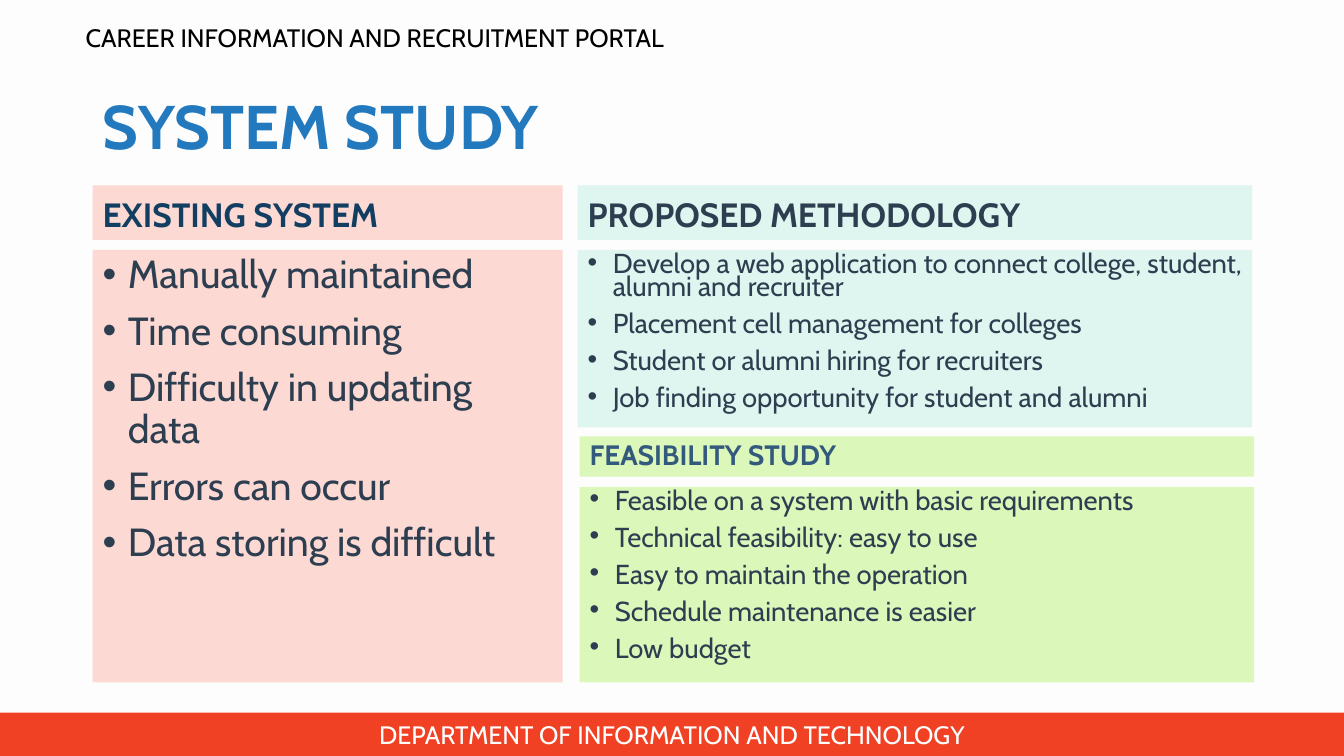
from pptx import Presentation
from pptx.dml.color import RGBColor
from pptx.enum.shapes import MSO_SHAPE
from pptx.enum.text import MSO_ANCHOR, PP_ALIGN
from pptx.oxml import parse_xml
from pptx.oxml.ns import nsdecls
from pptx.util import Inches, Pt

RECT = MSO_SHAPE.RECTANGLE
TOP, MID, LOW = MSO_ANCHOR.TOP, MSO_ANCHOR.MIDDLE, MSO_ANCHOR.BOTTOM
LEFT, CENTER = PP_ALIGN.LEFT, PP_ALIGN.CENTER
FONT = "Cabin"
INK = "2D3E50"
GAP = 0.1


def color(code):
    return RGBColor.from_string(code)


def add_bullet(para):
    props = para._p.get_or_add_pPr()
    props.set("marL", str(Inches(0.25)))
    props.set("indent", str(-Inches(0.25)))
    for xml in ('<a:buFont {} typeface="Arial"/>', '<a:buChar {} char="•"/>'):
        props.append(parse_xml(xml.format(nsdecls("a"))))


def add_text(slide, lines, box, size=18, ink=INK, fill=None, bold=False,
             anchor=MID, align=LEFT, lead=1.0, before=0, bullet=False):
    area = [Inches(side) for side in box]
    if fill:
        shape = slide.shapes.add_shape(RECT, *area)
        shape.shadow.inherit = False
        shape.fill.solid()
        shape.fill.fore_color.rgb = color(fill)
        shape.line.fill.background()
    else:
        shape = slide.shapes.add_textbox(*area)
    frame = shape.text_frame
    frame.word_wrap = True
    frame.vertical_anchor = anchor
    frame.text = "\n".join(lines)
    for para in frame.paragraphs:
        para.alignment = align
        para.line_spacing = lead
        para.space_before = Pt(before)
        if bullet:
            add_bullet(para)
        for run in para.runs:
            font = run.font
            font.name, font.size, font.bold = FONT, Pt(size), bold
            font.color.rgb = color(ink)


def add_frame(slide, box):
    left, top, width, height = box
    add_text(slide, ["CAREER INFORMATION AND RECRUITMENT PORTAL"],
             (left + 0.75, top + 0.07, 11.5, 0.6), ink="000000")
    add_text(slide, ["DEPARTMENT OF INFORMATION AND TECHNOLOGY"],
             (left, top + height - 0.43, width, 0.43),
             ink="FFFFFF", fill="F14124", align=CENTER)


def add_panel(slide, box, title, items, fill, ink=INK, head=0.54,
              big=24, size=19.6, lead=0.7):
    left, top, width, height = box
    add_text(slide, [title], (left, top, width, head), size=big, ink=ink,
             fill=fill, bold=True, anchor=LOW, lead=0.9, before=10)
    drop = head + GAP
    add_text(slide, items, (left, top + drop, width, height - drop), size=size,
             fill=fill, anchor=TOP, lead=lead, before=10, bullet=True)


def main():
    deck = Presentation()
    deck.slide_width, deck.slide_height = Inches(13.33), Inches(7.5)
    slide = deck.slides.add_slide(deck.slide_layouts[6])
    back = slide.background.fill
    back.solid()
    back.fore_color.rgb = color("FDFDFD")
    add_frame(slide, (0, 0, 13.33, 7.5))
    add_text(slide, ["SYSTEM STUDY"], (0.92, 0.84, 11.5, 0.9),
             size=44, ink="2279BE", bold=True, lead=0.9)
    add_panel(slide, (0.92, 1.84, 4.66, 4.93), "EXISTING SYSTEM", [
        "Manually maintained",
        "Time consuming",
        "Difficulty in updating data",
        "Errors can occur",
        "Data storing is difficult",
    ], "FCD9D3", ink="123E62", size=28, lead=0.9)
    add_panel(slide, (5.73, 1.84, 6.69, 2.4), "PROPOSED METHODOLOGY", [
        "Develop a web application to connect college, student, "
        "alumni and recruiter",
        "Placement cell management for colleges",
        "Student or alumni hiring for recruiters",
        "Job finding opportunity for student and alumni",
    ], "DFF5EF")
    add_panel(slide, (5.75, 4.33, 6.69, 2.44), "FEASIBILITY STUDY", [
        "Feasible on a system with basic requirements",
        "Technical feasibility: easy to use",
        "Easy to maintain the operation",
        "Schedule maintenance is easier",
        "Low budget",
    ], "DCF7BA", ink="335A7D", head=0.4, big=20)
    deck.save("out.pptx")


main()
